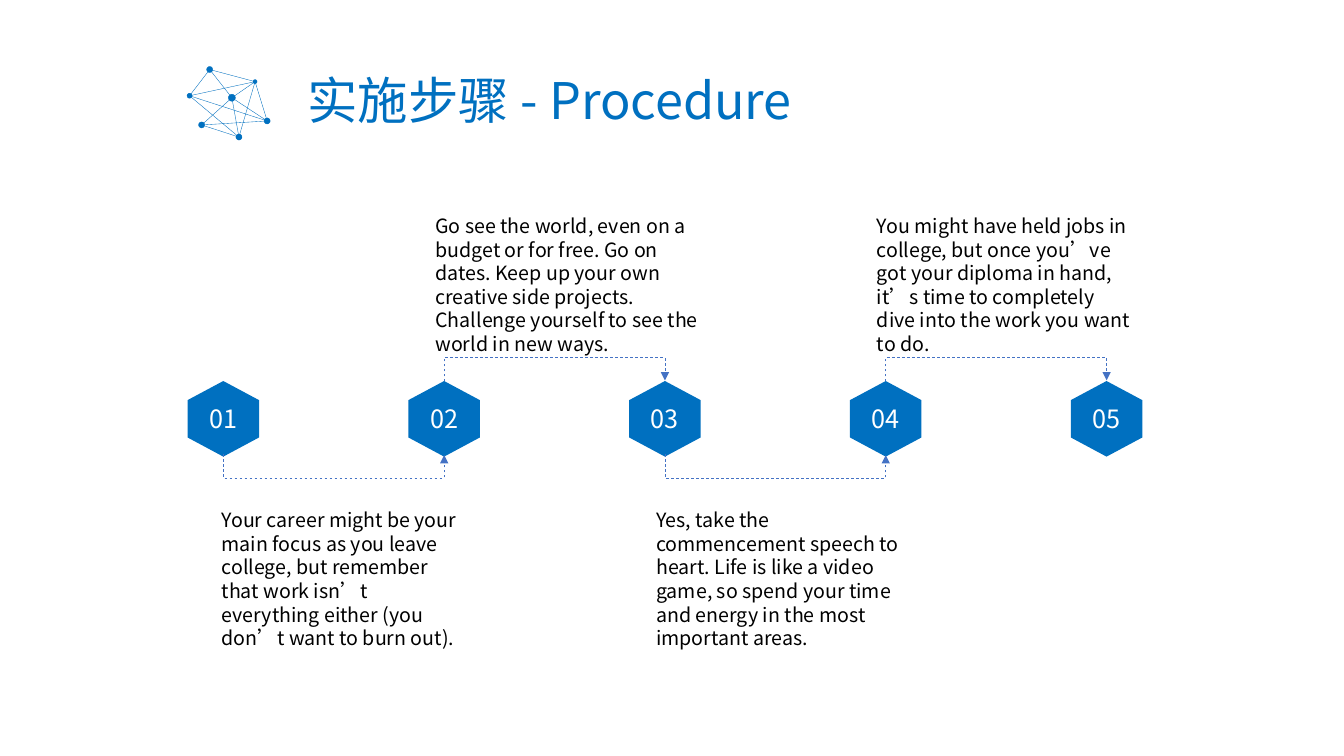
from dataclasses import dataclass

from lxml import etree
from pptx import Presentation
from pptx.dml.color import RGBColor
from pptx.enum.dml import MSO_LINE
from pptx.enum.shapes import MSO_CONNECTOR, MSO_SHAPE
from pptx.enum.text import MSO_ANCHOR, PP_ALIGN
from pptx.oxml.ns import qn
from pptx.util import Inches, Pt

STRAIGHT, ELBOW = MSO_CONNECTOR.STRAIGHT, MSO_CONNECTOR.ELBOW
OVAL = MSO_SHAPE.OVAL
DASH = MSO_LINE.DASH
TOP, MIDDLE = MSO_ANCHOR.TOP, MSO_ANCHOR.MIDDLE
LEFT, CENTER = PP_ALIGN.LEFT, PP_ALIGN.CENTER
TITLE_ONLY = 5


@dataclass(frozen=True)
class Theme:
    font: str = "Noto Sans CJK SC"
    blue: RGBColor = RGBColor(0x00, 0x70, 0xC0)
    arrow: RGBColor = RGBColor(0x44, 0x72, 0xC4)
    black: RGBColor = RGBColor(0, 0, 0)
    white: RGBColor = RGBColor(255, 255, 255)
    title_size: Pt = Pt(36)
    number_size: Pt = Pt(18)
    body_size: Pt = Pt(14)
    body_pitch: Pt = Pt(16.9)
    hairline: Pt = Pt(0.25)
    arrow_line: Pt = Pt(0.5)


THEME = Theme()

# Centre x, centre y and diameter, relative to the emblem's corner
NODES = {
    "top": (0.23, 0.03, 0.06),
    "right": (0.68, 0.15, 0.04),
    "left": (0.03, 0.29, 0.05),
    "hub": (0.45, 0.31, 0.07),
    "low left": (0.15, 0.58, 0.06),
    "bottom": (0.52, 0.7, 0.06),
    "low right": (0.8, 0.54, 0.06),
}
EDGES = [
    ("top", "left"), ("top", "right"), ("top", "hub"), ("left", "bottom"),
    ("left", "low right"), ("left", "right"), ("right", "bottom"),
    ("hub", "bottom"), ("hub", "low right"), ("hub", "right"),
    ("right", "low right"), ("hub", "low left"), ("low left", "bottom"),
    ("low left", "low right"),
]

STEP_COUNT = 5
STEP_PITCH = 2.19
HEX_WIDTH, HEX_HEIGHT = 0.71, 0.75
HEX_SHOULDER = 0.19
ARROW_RISE = 0.24
ARROW_OFFSET = 0.01

# Left, top, width, height, text
ADVICE = [
    (2.1, 4.99, 2.65, 1.28,
     "Your career might be your main focus as you leave college, but remember "
     "that work isn’t everything either (you don’t want to burn out)."),
    (4.22, 2.07, 2.98, 1.28,
     "Go see the world, even on a budget or for free. Go on dates. Keep up your "
     "own creative side projects. Challenge yourself to see the world in new ways."),
    (6.41, 4.99, 2.73, 1.28,
     "Yes, take the commencement speech to heart. Life is like a video game, so "
     "spend your time and energy in the most important areas."),
    (8.6, 2.07, 2.73, 1.28,
     "You might have held jobs in college, but once you’ve got your diploma in "
     "hand, it’s time to completely dive into the work you want to do."),
]


def write(frame, text, size, color, align=LEFT, anchor=TOP, spacing=None):
    frame.word_wrap = True
    frame.vertical_anchor = anchor
    paragraph = frame.paragraphs[0]
    paragraph.text = text
    paragraph.alignment = align
    paragraph.line_spacing = spacing
    font = paragraph.font
    font.size = size
    font.color.rgb = color
    font.name = THEME.font
    properties = paragraph._p.pPr.find(qn("a:defRPr"))
    etree.SubElement(properties, qn("a:ea")).set("typeface", THEME.font)


def add_line(slide, kind, start, end, color, width):
    line = slide.shapes.add_connector(
        kind, *(Inches(value) for value in (*start, *end)))
    line.line.color.rgb = color
    line.line.width = width
    return line


def drop_shadow(line):
    """Call after the line is fully formatted, so that effects come last."""
    etree.SubElement(line._element.spPr, qn("a:effectLst"))


def draw_emblem(slide, left, top):
    for first, second in EDGES:
        start, end = [(left + NODES[name][0], top + NODES[name][1])
                      for name in (first, second)]
        drop_shadow(add_line(slide, STRAIGHT, start, end, THEME.blue, THEME.hairline))
    for x, y, size in NODES.values():
        node = slide.shapes.add_shape(
            OVAL, Inches(left + x - size / 2), Inches(top + y - size / 2),
            Inches(size), Inches(size))
        node.shadow.inherit = False
        node.fill.solid()
        node.fill.fore_color.rgb = THEME.blue
        node.line.color.rgb = THEME.blue
        node.line.width = THEME.hairline


def place_title(slide, left, top, width, height):
    title = slide.shapes.title
    title.left, title.top = Inches(left), Inches(top)
    title.width, title.height = Inches(width), Inches(height)
    write(title.text_frame, "实施步骤 - Procedure", THEME.title_size, THEME.blue,
          anchor=MIDDLE, spacing=0.9)


def draw_step(slide, left, top, number):
    right, bottom, middle = left + HEX_WIDTH, top + HEX_HEIGHT, left + HEX_WIDTH / 2
    upper, lower = top + HEX_SHOULDER, bottom - HEX_SHOULDER
    corners = [(middle, bottom), (right, lower), (right, upper),
               (middle, top), (left, upper), (left, lower)]
    points = [(Inches(x), Inches(y)) for x, y in corners]
    outline = slide.shapes.build_freeform(*points[0])
    outline.add_line_segments(points[1:], close=True)
    step = outline.convert_to_shape()
    step.shadow.inherit = False
    step.fill.solid()
    step.fill.fore_color.rgb = THEME.blue
    step.line.fill.background()
    write(step.text_frame, f"{number:02}", THEME.number_size, THEME.white,
          CENTER, MIDDLE)


def draw_arrow(slide, left, y, above):
    """Link two steps with a U-shaped arrow that is an elbow turned on its side."""
    x = left + STEP_PITCH / 2 - ARROW_OFFSET / 2
    start_y = y - STEP_PITCH / 2
    arrow = add_line(slide, ELBOW, (x, start_y),
                     (x + ARROW_OFFSET, start_y + STEP_PITCH),
                     THEME.arrow, THEME.arrow_line)
    arrow.line.dash_style = DASH
    properties = arrow._element.spPr
    frame = properties.find(qn("a:xfrm"))
    frame.set("rot", str((90 if above else 270) * 60000))
    frame.set("flipH", "1")
    if above:
        frame.set("flipV", "1")
    bend = etree.SubElement(properties.find(qn("a:prstGeom")).find(qn("a:avLst")),
                            qn("a:gd"))
    bend.set("name", "adj1")
    bend.set("fmla", f"val {round(ARROW_RISE / ARROW_OFFSET * 100000)}")
    head = etree.SubElement(properties.find(qn("a:ln")), qn("a:tailEnd"))
    head.set("type", "triangle")
    drop_shadow(arrow)


def draw_steps(slide, left, top):
    for index in range(STEP_COUNT):
        draw_step(slide, left + index * STEP_PITCH, top, index + 1)
    for index in range(STEP_COUNT - 1):
        above = index % 2 == 1
        draw_arrow(slide, left + HEX_WIDTH / 2 + index * STEP_PITCH,
                   top if above else top + HEX_HEIGHT - 0.02, above)


def add_advice(slide, left, top, width, height, text):
    box = slide.shapes.add_textbox(
        Inches(left), Inches(top), Inches(width), Inches(height))
    write(box.text_frame, text, THEME.body_size, THEME.black,
          spacing=THEME.body_pitch)


def main():
    deck = Presentation()
    deck.slide_width, deck.slide_height = Inches(13.33), Inches(7.5)
    slide = deck.slides.add_slide(deck.slide_layouts[TITLE_ONLY])
    draw_emblem(slide, 1.85, 0.66)
    place_title(slide, 2.95, 0.59, 7.93, 0.86)
    draw_steps(slide, 1.86, 3.78)
    for advice in ADVICE:
        add_advice(slide, *advice)
    deck.save("out.pptx")


if __name__ == "__main__":
    main()
